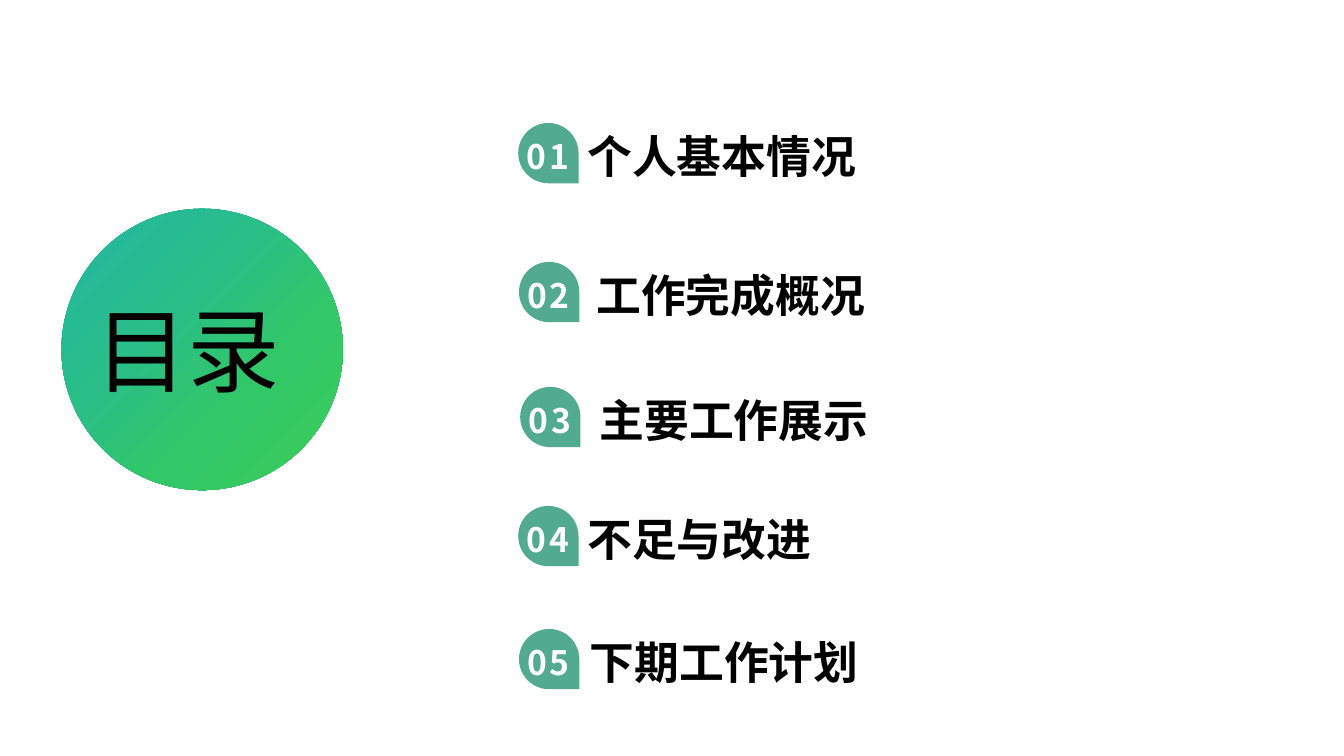
from lxml import etree
from pptx import Presentation
from pptx.dml.color import RGBColor
from pptx.enum import shapes, text
from pptx.oxml import parse_xml
from pptx.oxml.ns import nsdecls, qn
from pptx.util import Cm, Pt

FACE = "Noto Sans CJK SC"
HUES = {"drop": "52AA8F", "ink": "000000", "num": "FFFFFF"}
STOPS = {0: "21B5A3", 38: "2ABE88", 64: "32C769", 100: "3ACD57"}
HEAD = {"size": Pt(66), "bold": False}
ITEM = {"size": Pt(32), "bold": True}
NUM = {"size": Pt(24), "bold": True}


def add_text(words, area, form, hue, wrap=True):
    box = slide.shapes.add_textbox(*map(Cm, area))
    frame = box.text_frame
    frame.word_wrap = wrap
    frame.auto_size = text.MSO_AUTO_SIZE.SHAPE_TO_FIT_TEXT
    run = frame.paragraphs[0].add_run()
    run.text = words
    for key, val in {"name": FACE, **form}.items():
        setattr(run.font, key, val)
    run.font.color.rgb = RGBColor.from_string(HUES[hue])
    props = run._r.get_or_add_rPr()
    etree.SubElement(props, qn("a:ea")).set("typeface", FACE)
    return run


def add_form(kind, area):
    form = slide.shapes.add_shape(kind, *map(Cm, area))
    form.shadow.inherit = False
    form.line.fill.background()
    return form


deck = Presentation()
deck.slide_width, deck.slide_height = Cm(33.87), Cm(19.05)
slide = deck.slides.add_slide(deck.slide_layouts[6])

# Title disc with a four-stop gradient
disc = add_form(shapes.MSO_SHAPE.OVAL, (1.55, 5.26, 7.09, 7.09))
stops = "".join(
    f'<a:gs pos="{pos * 1000}"><a:srgbClr val="{hue}"/></a:gs>'
    for pos, hue in STOPS.items()
)
grad = parse_xml(
    f'<a:gradFill {nsdecls("a")} rotWithShape="1"><a:gsLst>{stops}</a:gsLst>'
    '<a:lin ang="2700000" scaled="0"/></a:gradFill>'
)
disc.fill.gradient()
old = disc._element.spPr.find(qn("a:gradFill"))
old.getparent().replace(old, grad)
add_text("目录", (2.16, 7.26, 6.27, 3.07), HEAD, "ink")

# Contents: words, drop left, top, label left, label width
items = [
    ("个人基本情况", 13.06, 3.1, 14.55, 15.19),
    ("工作完成概况", 13.08, 6.6, 14.78, 10.92),
    ("主要工作展示", 13.11, 9.75, 14.86, 9.09),
    ("不足与改进", 13.06, 12.75, 14.55, 11.3),
    ("下期工作计划", 13.08, 15.85, 14.61, 11.3),
]
for rank, (words, left, top, start, width) in enumerate(items, 1):
    drop = add_form(shapes.MSO_SHAPE.TEAR, (left, top, 1.52, 1.52))
    drop.fill.solid()
    drop.fill.fore_color.rgb = RGBColor.from_string(HUES["drop"])
    drop._element.spPr.find(qn("a:xfrm")).set("flipV", "1")
    num = add_text(f"{rank:02}", (left - 0.04, top + 0.2, 1.6, 1.27), NUM, "num", False)
    num._r.get_or_add_rPr().set("spc", "200")
    add_text(words, (start, top + 0.03, width, 1.63), ITEM, "ink")

deck.save("out.pptx")
